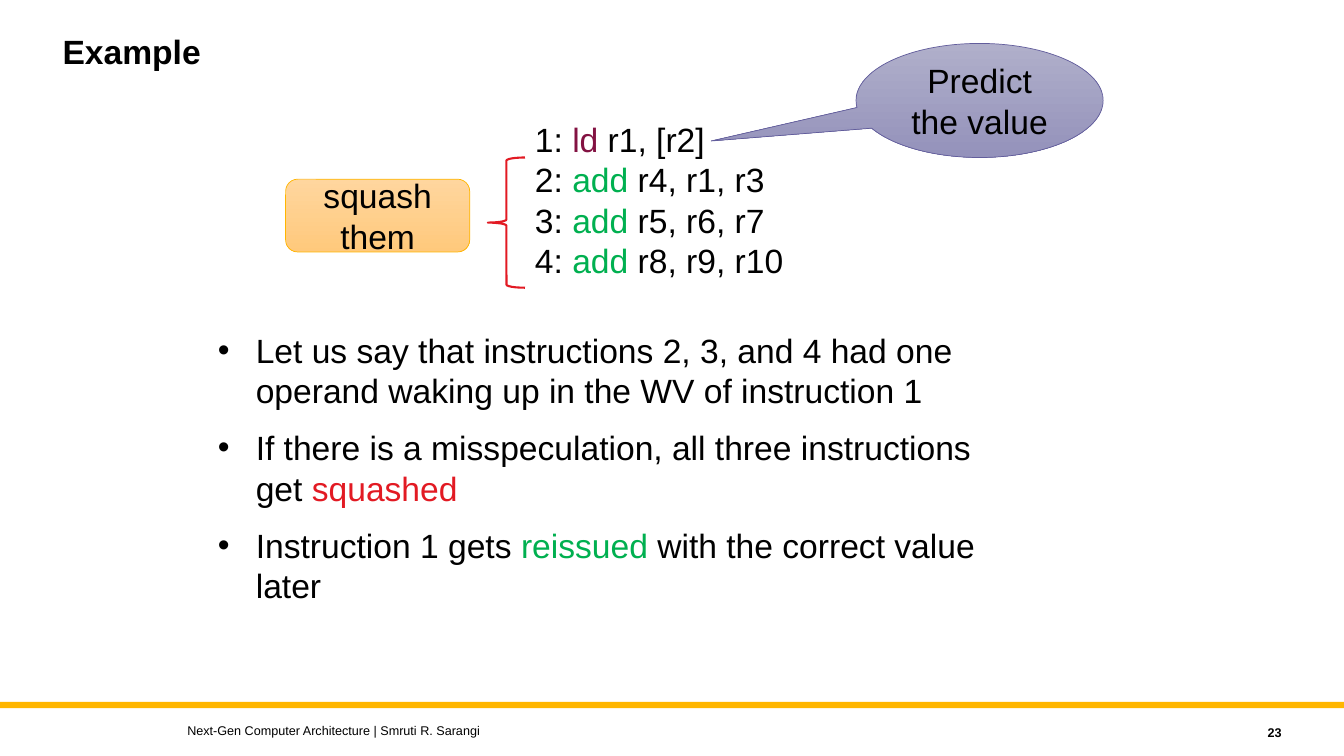
from lxml import etree
from pptx import Presentation
from pptx.dml.color import RGBColor
from pptx.enum.shapes import MSO_SHAPE as SHAPE
from pptx.enum.text import MSO_ANCHOR as ANCHOR, MSO_AUTO_SIZE as AUTO, PP_ALIGN as ALIGN
from pptx.oxml.ns import qn
from pptx.util import Pt

COLORS = {
    "text": "000000", "amber": "FFB600", "red": "E21A23", "green": "00B050",
    "plum": "831242", "violet": "625D9C",
    "violet_top": "B0AFCA", "violet_bottom": "9492BB",
    "orange_top": "FFD69E", "orange_bottom": "FFC97C",
}


def rgb(name):
    return RGBColor.from_string(COLORS[name])


class SlideBuilder:
    font = "Arial"
    size = 24

    def __init__(self, prs):
        self.slide = prs.slides.add_slide(prs.slide_layouts[1])

    def fill_text(self, sp, paragraphs, size=None, bold=False, align=ALIGN.LEFT,
                  anchor=ANCHOR.TOP, bullet=False, gap=0, spacing=None):
        """Each paragraph is a list of (text, colour) runs."""
        tf = sp.text_frame
        tf.word_wrap = True
        tf.auto_size = AUTO.NONE
        tf.vertical_anchor = anchor
        for i, runs in enumerate(paragraphs):
            p = tf.add_paragraph() if i else tf.paragraphs[0]
            if bullet:
                pPr = p._p.get_or_add_pPr()
                pPr.set("marL", str(Pt(27)))
                pPr.set("indent", str(-Pt(27)))
                etree.SubElement(pPr, qn("a:buChar")).set("char", "•")
            p.alignment = align
            p.space_before = Pt(gap if i else 0)
            if spacing:
                p.line_spacing = spacing
            for text, color in runs:
                r = p.add_run()
                r.text = text
                r.font.name = self.font
                r.font.size = Pt(size or self.size)
                r.font.bold = bold
                r.font.color.rgb = rgb(color)

    def placeholder(self, index, box, paragraphs, **style):
        sp = self.slide.placeholders[index]
        sp.left, sp.top, sp.width, sp.height = map(Pt, box)
        self.fill_text(sp, paragraphs, **style)

    def text(self, box, paragraphs, **style):
        sp = self.slide.shapes.add_textbox(*map(Pt, box))
        self.fill_text(sp, paragraphs, **style)

    def shape(self, kind, box, fill=None, line=None, width=0.5, adjust=(), label=None):
        sp = self.slide.shapes.add_shape(kind, *map(Pt, box))
        sp.shadow.inherit = False
        for i, value in enumerate(adjust):
            sp.adjustments[i] = value
        if not fill:
            sp.fill.background()
        elif isinstance(fill, tuple):
            sp.fill.gradient()
            sp.fill.gradient_angle = 270
            for stop, color in zip(sp.fill.gradient_stops, fill):
                stop.color.rgb = rgb(color)
        else:
            sp.fill.solid()
            sp.fill.fore_color.rgb = rgb(fill)
        if line:
            sp.line.color.rgb = rgb(line)
            sp.line.width = Pt(width)
        else:
            sp.line.fill.background()
        if label:
            self.fill_text(sp, [[(label, "text")]], align=ALIGN.CENTER, anchor=ANCHOR.MIDDLE)


def main():
    prs = Presentation()
    prs.slide_width, prs.slide_height = Pt(960), Pt(540)
    s = SlideBuilder(prs)

    # Title and footer
    s.shape(SHAPE.RECTANGLE, (0, 501.25, 960, 4.5), fill="amber")
    s.placeholder(0, (37.5, 21.5, 720, 65), [[("Example", "text")]], bold=True, spacing=0.9)
    s.text((126.75, 512.75, 576, 18),
           [[("Next-Gen Computer Architecture | Smruti R. Sarangi", "text")]],
           size=9, anchor=ANCHOR.MIDDLE)
    s.text((821.5, 514, 101, 18), [[("23", "text")]],
           size=9, bold=True, align=ALIGN.RIGHT, anchor=ANCHOR.MIDDLE)

    # Explanation
    s.placeholder(1, (148.5, 232, 559.5, 243.5), [
        [("Let us say that instructions 2, 3, and 4 had one operand "
          "waking up in the WV of instruction 1", "text")],
        [("If there is a misspeculation, all three instructions get ", "text"),
         ("squashed", "red")],
        [("Instruction 1 gets ", "text"), ("reissued", "green"),
         (" with the correct value later", "text")],
    ], bullet=True, gap=12)

    # Instruction listing
    instructions = [("ld", "plum", "r1, [r2]"), ("add", "green", "r4, r1, r3"),
                    ("add", "green", "r5, r6, r7"), ("add", "green", "r8, r9, r10")]
    s.text((375, 81.5, 209.5, 124),
           [[(f"{n}: ", "text"), (op, color), (f" {args}", "text")]
            for n, (op, color, args) in enumerate(instructions, 1)])

    # Callout, brace and label
    s.shape(SHAPE.OVAL_CALLOUT, (611.5, 31, 176.5, 81.5),
            fill=("violet_top", "violet_bottom"), line="violet",
            adjust=(-1.086, 0.355), label="Predict the value")
    s.shape(SHAPE.LEFT_BRACE, (348.5, 112.5, 26.5, 93), line="red", width=1.5)
    s.shape(SHAPE.ROUNDED_RECTANGLE, (204, 128, 131.5, 52),
            fill=("orange_top", "orange_bottom"), line="amber", label="squash them")

    prs.save("out.pptx")


if __name__ == "__main__":
    main()
